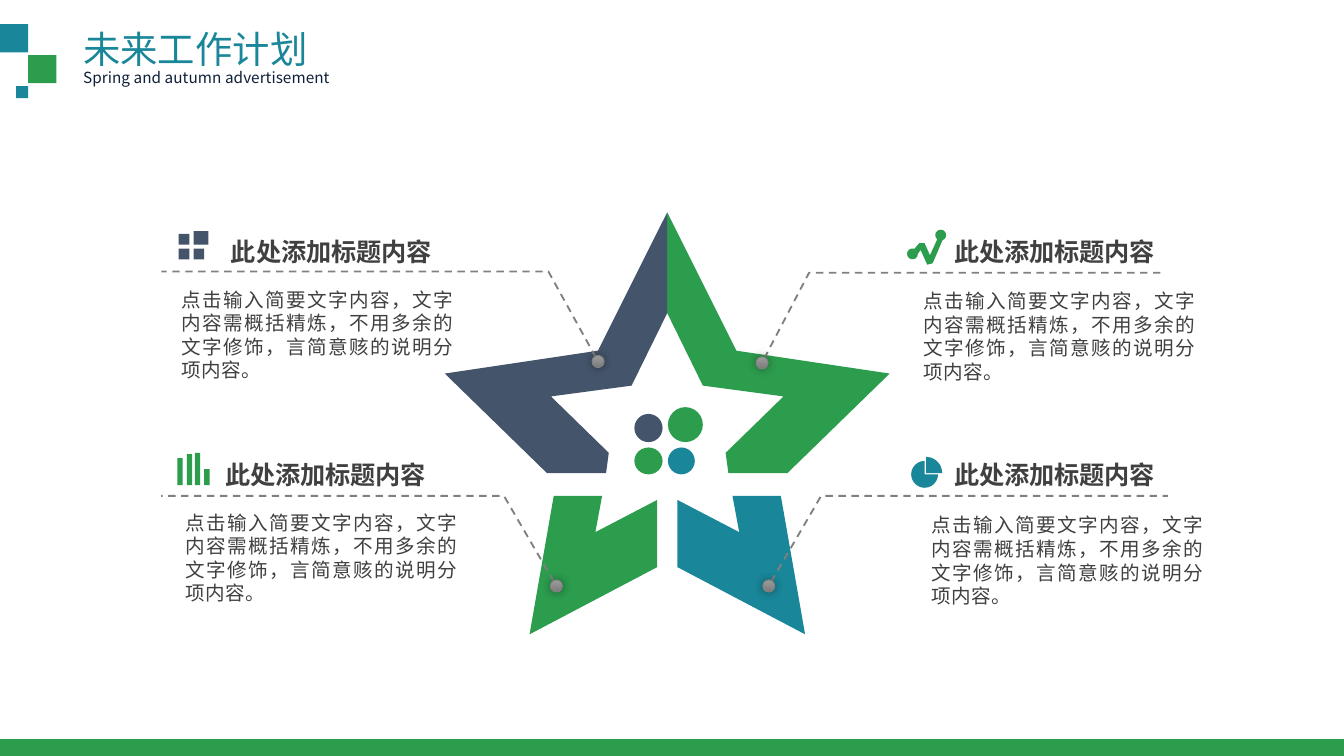
from math import cos, radians, sin

from lxml import etree
from pptx import Presentation
from pptx import util as u
from pptx.dml.color import RGBColor
from pptx.enum import dml, shapes, text
from pptx.oxml import ns, parse_xml

THEME = {
    "font": "Noto Sans CJK SC",
    "teal": "198699", "green": "2C9C4D", "slate": "44546A",
    "navy": "0F1F39", "ink": "404040", "rule": "808080",
    "dot": ("9D9D9D", "7C7C7C"),
    # line: exact line height in points; spacing: hundredths of a point
    "title": {"size": 20, "line": 24.5, "color": "teal"},
    "subtitle": {"size": 8.25, "line": 12.5, "color": "navy"},
    "heading": {"size": 13.5, "line": 24, "color": "ink", "bold": True,
                "align": text.PP_ALIGN.JUSTIFY},
    "body": {"size": 10.5, "line": 12.6, "color": "ink", "spacing": 40,
             "align": text.PP_ALIGN.JUSTIFY},
}
RECT, OVAL = shapes.MSO_SHAPE.RECTANGLE, shapes.MSO_SHAPE.OVAL
SLIDE_WIDTH = 10
SLIDE_HEIGHT = SLIDE_WIDTH * 9 / 16

TITLE = "未来工作计划"
SUBTITLE = "Spring and autumn advertisement"
HEADING = "此处添加标题内容"
BODY = "点击输入简要文字内容，文字内容需概括精炼，不用多余的文字修饰，言简意赅的说明分项内容。"

# heading corner, body corner, leader points starting at its dot
CALLOUTS = [
    ((1.62, 1.6), (1.25, 2.09), [(4.45, 2.69), (4.08, 2.02), (1.2, 2.02)]),
    ((7, 1.6), (6.77, 2.1), [(5.67, 2.7), (6.02, 2.03), (8.67, 2.03)]),
    ((7, 3.26), (6.83, 3.77), [(5.72, 4.36), (6.11, 3.69), (8.69, 3.69)]),
    ((1.58, 3.26), (1.28, 3.75), [(4.14, 4.36), (3.75, 3.69), (1.2, 3.69)]),
]

# left, top, width, height, colour
HEADER_AND_FOOTER = [
    (0, 0.18, 0.21, 0.21, "teal"), (0.21, 0.41, 0.21, 0.21, "green"),
    (0.12, 0.64, 0.09, 0.09, "teal"), (0, 5.5, SLIDE_WIDTH, 0.13, "green"),
]
TILE_ICON = [
    (1.33, 1.74, 0.08, 0.08, "slate"), (1.44, 1.72, 0.11, 0.1, "slate"),
    (1.33, 1.85, 0.08, 0.08, "slate"), (1.44, 1.85, 0.08, 0.08, "slate"),
]
BAR_BASE, BAR_WIDTH = 3.61, 0.04
BARS = [(1.32, 0.2), (1.39, 0.23), (1.45, 0.24), (1.52, 0.12)]
CENTRE_DOTS = [
    (4.72, 3.08, 0.21, 0.21, "slate"), (4.97, 3.03, 0.26, 0.26, "green"),
    (4.72, 3.33, 0.21, 0.2, "green"), (4.97, 3.33, 0.2, 0.2, "teal"),
]

STAR_AXIS = 9.93 / 2
STAR_ARM = [(4.45, 2.61), (3.31, 2.78), (4.07, 3.52), (4.51, 3.52), (4.53, 3.37),
            (4.1, 2.95), (4.7, 2.87), (STAR_AXIS, 2.33), (STAR_AXIS, 1.58)]
STAR_FOOT = [(4.89, 3.72), (4.43, 3.96), (4.48, 3.69), (4.12, 3.69),
             (3.94, 4.72), (4.89, 4.22)]

prs = Presentation()
prs.slide_width, prs.slide_height = u.Inches(SLIDE_WIDTH), u.Inches(SLIDE_HEIGHT)
slide = prs.slides.add_slide(prs.slide_layouts[6])


def rgb(name):
    return RGBColor.from_string(THEME[name])


def paint(shape, color):
    shape.shadow.inherit = False
    shape.fill.solid()
    shape.fill.fore_color.rgb = rgb(color)
    shape.line.fill.background()


def add_blocks(kind, blocks):
    for *box, color in blocks:
        paint(slide.shapes.add_shape(kind, *map(u.Inches, box)), color)


def outline(points, close=True):
    first, *rest = [(u.Inches(x), u.Inches(y)) for x, y in points]
    builder = slide.shapes.build_freeform(*first)
    builder.add_line_segments(rest, close=close)
    return builder.convert_to_shape()


def arc(cx, cy, radius, start, end, steps=18):
    """Points along a circle; degrees run clockwise from the right."""
    angles = [radians(start + (end - start) * i / steps) for i in range(steps + 1)]
    return [(cx + radius * cos(a), cy + radius * sin(a)) for a in angles]


def mirrored(points):
    return [(2 * STAR_AXIS - x, y) for x, y in points]


def add_text(words, style, left, top, width, height, wrap=True):
    look = THEME[style]
    frame = slide.shapes.add_textbox(*map(u.Inches, (left, top, width, height))).text_frame
    frame.word_wrap = wrap
    frame.auto_size = text.MSO_AUTO_SIZE.SHAPE_TO_FIT_TEXT
    paragraph = frame.paragraphs[0]
    paragraph.alignment = look.get("align")
    paragraph.line_spacing = u.Pt(look["line"])
    run = paragraph.add_run()
    run.text = words
    font_format = {"name": THEME["font"], "size": u.Pt(look["size"]), "bold": look.get("bold")}
    for attribute, value in font_format.items():
        setattr(run.font, attribute, value)
    run.font.color.rgb = rgb(look["color"])
    properties = run._r.get_or_add_rPr()
    properties.set("spc", str(look.get("spacing", 0)))
    etree.SubElement(properties, ns.qn("a:ea")).set("typeface", THEME["font"])


def add_leader(points):
    leader = outline(points, close=False)
    leader.shadow.inherit = False
    leader.fill.background()
    leader.line.color.rgb = rgb("rule")
    leader.line.width = u.Pt(1)
    leader.line.dash_style = dml.MSO_LINE.DASH
    etree.SubElement(leader.line._get_or_add_ln(), ns.qn("a:headEnd")).set("type", "oval")

    size = 0.09
    x, y = points[0]
    dot = slide.shapes.add_shape(
        OVAL, *map(u.Inches, (x - size / 2, y - size / 2, size, size)))
    dot.fill.gradient()
    dot.fill.gradient_angle = 270
    for stop, color in zip(dot.fill.gradient_stops, THEME["dot"]):
        stop.color.rgb = RGBColor.from_string(color)
    dot.line.color.rgb = rgb("rule")
    dot.line.width = u.Pt(0.5)
    dot._element.spPr.append(parse_xml(
        f'<a:effectLst {ns.nsdecls("a")}><a:outerShdw blurRad="{u.Pt(5)}" dist="0">'
        '<a:srgbClr val="000000"><a:alpha val="40000"/></a:srgbClr>'
        '</a:outerShdw></a:effectLst>'))


add_text(TITLE, "title", 0.52, 0.14, 1.87, 0.44, wrap=False)
add_text(SUBTITLE, "subtitle", 0.52, 0.42, 2.35, 0.28)
add_blocks(RECT, HEADER_AND_FOOTER)

for points, color in [(mirrored(STAR_FOOT), "teal"), (STAR_FOOT, "green"),
                      (mirrored(STAR_ARM), "green"), (STAR_ARM, "slate")]:
    paint(outline(points), color)
add_blocks(OVAL, CENTRE_DOTS)

add_blocks(RECT, TILE_ICON)
add_blocks(RECT, [(x, BAR_BASE - h, BAR_WIDTH, h, "green") for x, h in BARS])
trend_icon = (
    arc(7, 1.75, 0.04, 0, -230)
    + [(6.92, 1.9), (6.88, 1.81), (6.84, 1.81)]
    + arc(6.79, 1.89, 0.04, -70, -360)
    + [(6.85, 1.86), (6.9, 1.97), (6.94, 1.96)]
    + arc(7, 1.75, 0.04, 70, 0, steps=6))
paint(outline(trend_icon), "green")
for center, radius, end in [((6.88, 3.53), 0.1, -360), ((6.89, 3.52), 0.12, 0)]:
    paint(outline(arc(*center, radius, -90, end) + [center]), "teal")

for heading_at, body_at, leader_points in CALLOUTS:
    add_text(HEADING, "heading", *heading_at, 1.89, 0.44)
    add_leader(leader_points)
    add_text(BODY, "body", *body_at, 2.23, 0.81)

prs.save("out.pptx")
